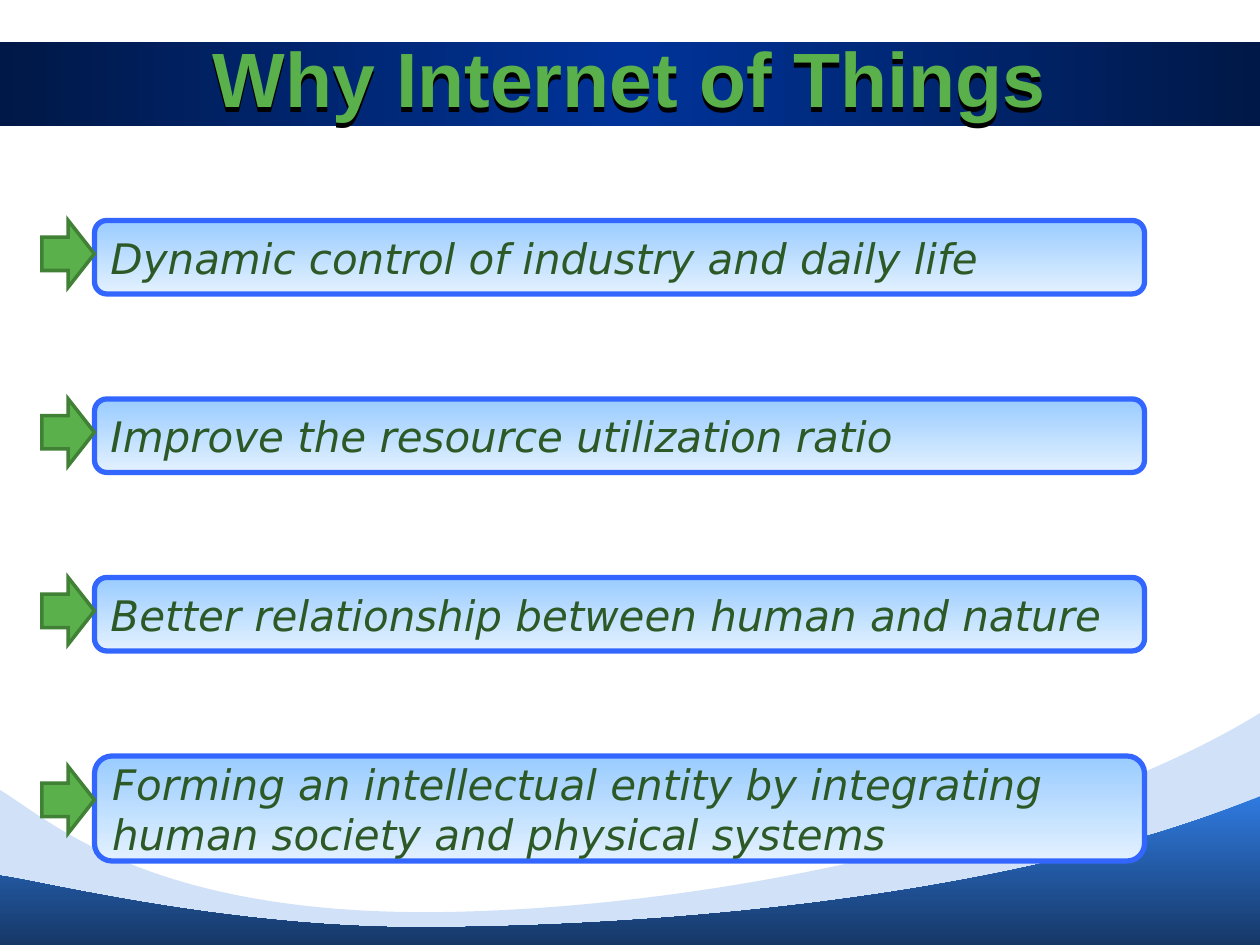
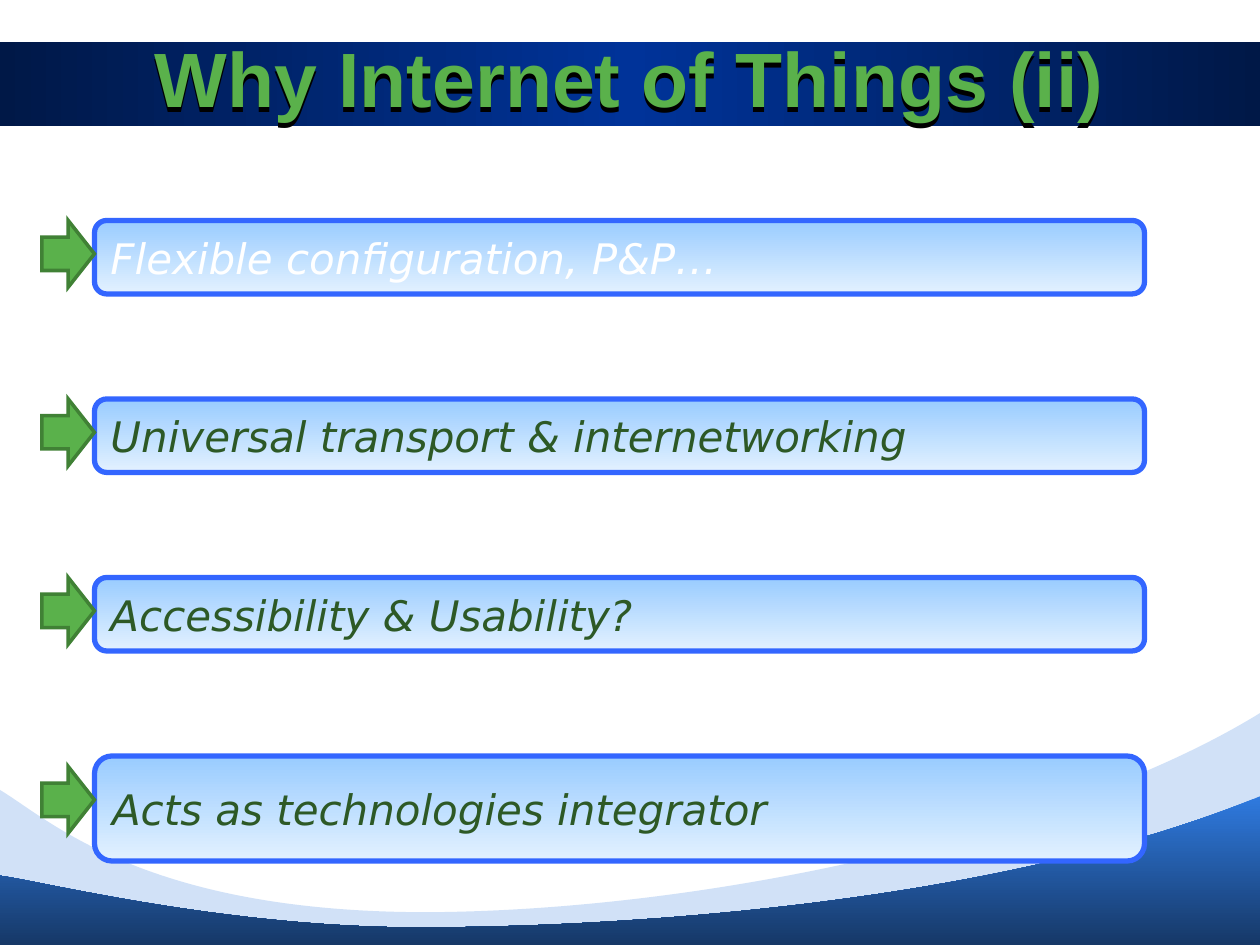
from dataclasses import dataclass

from lxml.etree import SubElement
from pptx import Presentation
from pptx.dml.color import RGBColor
from pptx.enum.shapes import MSO_SHAPE
from pptx.enum.text import MSO_ANCHOR, PP_ALIGN
from pptx.oxml.ns import qn
from pptx.util import Inches, Pt

# Each reason is a list of lines; the flag marks the one set in white.
SLIDES = [
    ("Why Internet of Things", [
        (["Dynamic control of industry and daily life"], False),
        (["Improve the resource utilization ratio"], False),
        (["Better relationship between human and nature"], False),
        (["Forming an intellectual entity by integrating",
          "human society and physical systems"], False),
    ]),
    ("Why Internet of Things (ii)", [
        (["Flexible configuration, P&P…"], True),
        (["Universal transport & internetworking"], False),
        (["Accessibility & Usability?"], False),
        (["Acts as technologies integrator"], False),
    ]),
]


@dataclass(frozen=True)
class Theme:
    title_font: str = "Arial"
    reason_font: str = "DejaVu Sans"
    title_size: int = 44
    reason_size: int = 24
    green: str = "5AB14B"
    green_edge: str = "408135"
    reason_text: str = "2D5926"
    white: str = "FFFFFF"
    shadow: str = "000000"
    box_edge: str = "3366FF"
    box_stops: tuple = ((0, "99CCFF"), (100, "E3F1FF"))
    band_stops: tuple = ((0, "001847"), (50, "003399"), (100, "001847"))
    wave: str = "2F7ADF"
    wave_stops: tuple = ((0, "2F7ADF"), (100, "163867"))


THEME = Theme()
WIDTH, HEIGHT = 10, 7.5
UNIT = WIDTH / 120
BAND = (0, 4 * UNIT, WIDTH, 8 * UNIT)
TITLE = (0.5, 0.3, WIDTH - 1, 0.62)

ROW_TOP, ROW_STEP = 21 * UNIT, 17 * UNIT
BOX_LEFT, BOX_WIDTH = 9 * UNIT, 100 * UNIT
BOX_HEIGHT, LAST_BOX_HEIGHT = 7 * UNIT, 10 * UNIT
ARROW_LEFT, ARROW_WIDTH, ARROW_HEIGHT = 4 * UNIT, 5 * UNIT, 0.53
LAST_ARROW_DROP = UNIT

# Top edges of the waves: a start point, then cubic curves (two controls and an end).
PALE_WAVE = ((0, 6.27), [((0.4, 6.51), (1.16, 7.25), (3.43, 7.24)),
                         ((5.7, 7.22), (8.49, 6.59), (WIDTH, 5.66))])
DEEP_WAVE = ((0, 6.95), [((0.36, 7), (1.86, 7.38), (3.46, 7.36)),
                         ((5.06, 7.35), (7.97, 7.16), (WIDTH, 6.32))])
POINTS_PER_INCH = 100


def color(hex_code):
    return RGBColor.from_string(hex_code)


def fill_gradient(shape, stops, angle):
    """Fill with (percent, colour) stops; the angle runs clockwise in degrees."""
    shape.fill.gradient()
    shape.fill.gradient_angle = -angle % 360
    stop_list = shape._element.spPr.find(qn("a:gradFill")).find(qn("a:gsLst"))
    for old_stop in list(stop_list):
        stop_list.remove(old_stop)
    for percent, hex_code in stops:
        stop = SubElement(stop_list, qn("a:gs"), pos=str(percent * 1000))
        SubElement(stop, qn("a:srgbClr"), val=hex_code)


def add_preset(slide, kind, box):
    shape = slide.shapes.add_shape(kind, *map(Inches, box))
    shape.shadow.inherit = False
    return shape


def set_line(shape, hex_code, width):
    shape.line.color.rgb = color(hex_code)
    shape.line.width = Pt(width)


def bend_segments(shape, curve_count):
    """Turn each leading group of three straight segments into one cubic curve."""
    segments = list(shape._element.spPr.iter(qn("a:lnTo")))
    for index in range(curve_count):
        first, second, end = segments[3 * index:3 * index + 3]
        outline = first.getparent()
        curve = SubElement(outline, qn("a:cubicBezTo"))
        outline.replace(first, curve)
        for segment in (first, second, end):
            curve.append(segment.find(qn("a:pt")))
        outline.remove(second)
        outline.remove(end)


def add_wave(slide, start, curves):
    points = [point for curve in curves for point in curve]
    points += [(WIDTH, HEIGHT), (0, HEIGHT)]
    (start_x, start_y), *rest = [
        (round(x * POINTS_PER_INCH), round(y * POINTS_PER_INCH))
        for x, y in [start, *points]]
    builder = slide.shapes.build_freeform(
        start_x, start_y, scale=Inches(1) / POINTS_PER_INCH)
    builder.add_line_segments(rest, close=True)
    wave = builder.convert_to_shape()
    bend_segments(wave, len(curves))
    wave.shadow.inherit = False
    wave.line.fill.background()
    return wave


def add_background(slide):
    band = add_preset(slide, MSO_SHAPE.RECTANGLE, BAND)
    band.line.fill.background()
    fill_gradient(band, THEME.band_stops, 0)

    pale = add_wave(slide, *PALE_WAVE)
    pale.fill.solid()
    pale.fill.fore_color.rgb = color(THEME.wave)
    pale_color = pale._element.spPr.find(qn("a:solidFill")).find(qn("a:srgbClr"))
    SubElement(pale_color, qn("a:alpha"), val="22000")

    fill_gradient(add_wave(slide, *DEEP_WAVE), THEME.wave_stops, 90)


def add_title(slide, title):
    box = slide.shapes.add_textbox(*map(Inches, TITLE))
    frame = box.text_frame
    frame.word_wrap = True
    frame.vertical_anchor = MSO_ANCHOR.MIDDLE
    frame.text = title
    paragraph = frame.paragraphs[0]
    paragraph.alignment = PP_ALIGN.CENTER
    paragraph.font.name = THEME.title_font
    paragraph.font.size = Pt(THEME.title_size)
    paragraph.font.bold = True
    paragraph.font.color.rgb = color(THEME.green)

    effects = SubElement(box._element.spPr, qn("a:effectLst"))
    shadow = SubElement(effects, qn("a:outerShdw"), dist=str(Pt(3)), dir="5400000")
    SubElement(shadow, qn("a:srgbClr"), val=THEME.shadow)


def add_reason_box(slide, top, height, lines, text_color):
    box = add_preset(slide, MSO_SHAPE.ROUNDED_RECTANGLE,
                     (BOX_LEFT, top, BOX_WIDTH, height))
    fill_gradient(box, THEME.box_stops, 90)
    set_line(box, THEME.box_edge, 3)
    frame = box.text_frame
    frame.word_wrap = True
    frame.vertical_anchor = MSO_ANCHOR.MIDDLE
    frame.text = "\n".join(lines)
    for paragraph in frame.paragraphs:
        paragraph.alignment = PP_ALIGN.LEFT
        paragraph.font.name = THEME.reason_font
        paragraph.font.size = Pt(THEME.reason_size)
        paragraph.font.italic = True
        paragraph.font.color.rgb = color(text_color)


def add_arrow(slide, top):
    arrow = add_preset(slide, MSO_SHAPE.RIGHT_ARROW,
                       (ARROW_LEFT, top, ARROW_WIDTH, ARROW_HEIGHT))
    arrow.fill.solid()
    arrow.fill.fore_color.rgb = color(THEME.green)
    set_line(arrow, THEME.green_edge, 2)
    outline = arrow._element.spPr.find(qn("a:ln"))
    SubElement(outline, qn("a:miter"), lim="800000")


def add_reasons(slide, reasons):
    last_row = len(reasons) - 1
    tops = [ROW_TOP + row * ROW_STEP for row in range(len(reasons))]
    for row, (lines, is_white) in enumerate(reasons):
        add_reason_box(slide, tops[row],
                       LAST_BOX_HEIGHT if row == last_row else BOX_HEIGHT,
                       lines, THEME.white if is_white else THEME.reason_text)
    for row in reversed(range(len(reasons))):
        add_arrow(slide, tops[row] + (LAST_ARROW_DROP if row == last_row else 0))


def main():
    presentation = Presentation()
    presentation.slide_width = Inches(WIDTH)
    presentation.slide_height = Inches(HEIGHT)
    blank_layout = presentation.slide_layouts[6]
    for title, reasons in SLIDES:
        slide = presentation.slides.add_slide(blank_layout)
        add_background(slide)
        add_title(slide, title)
        add_reasons(slide, reasons)
    presentation.save("out.pptx")


if __name__ == "__main__":
    main()
